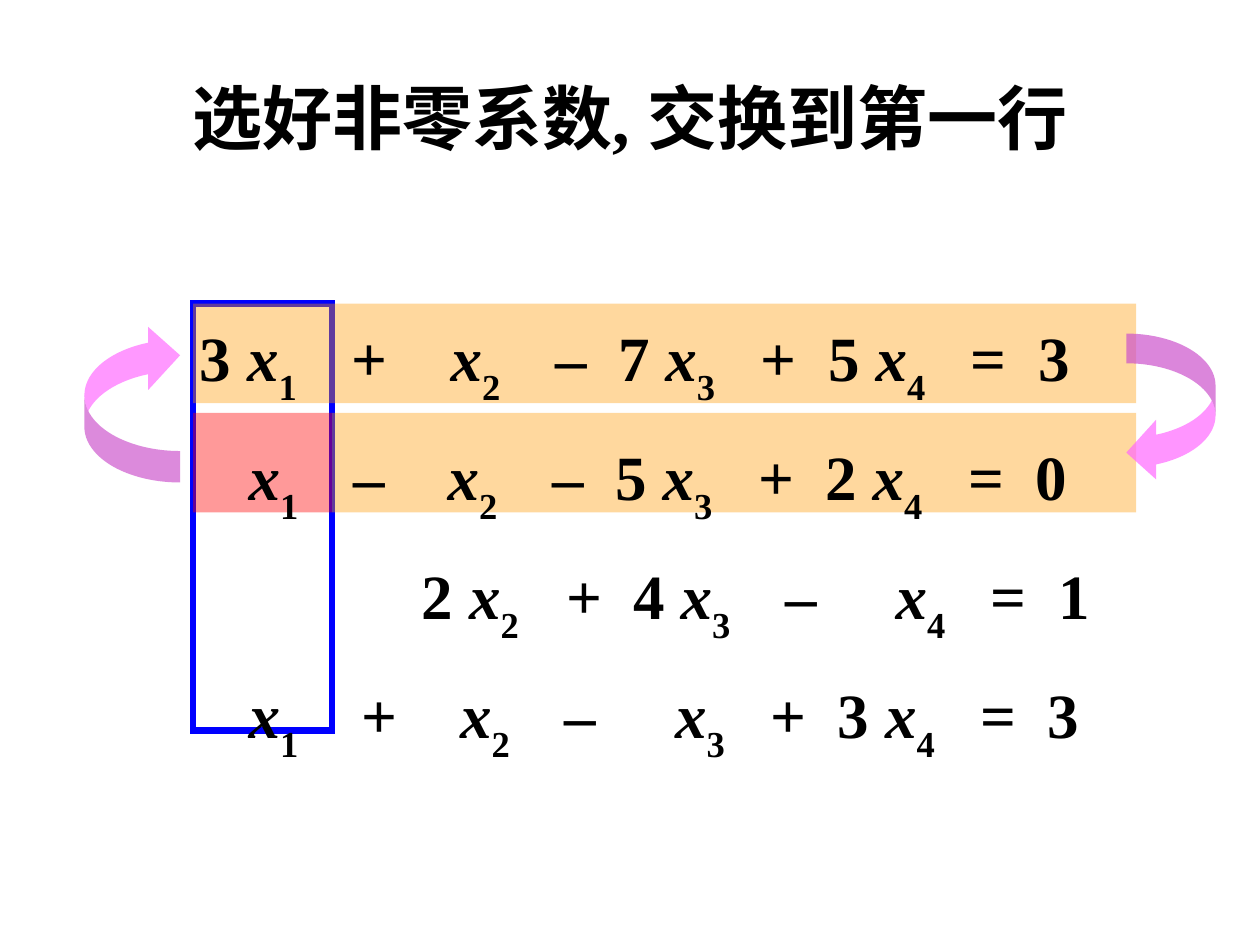
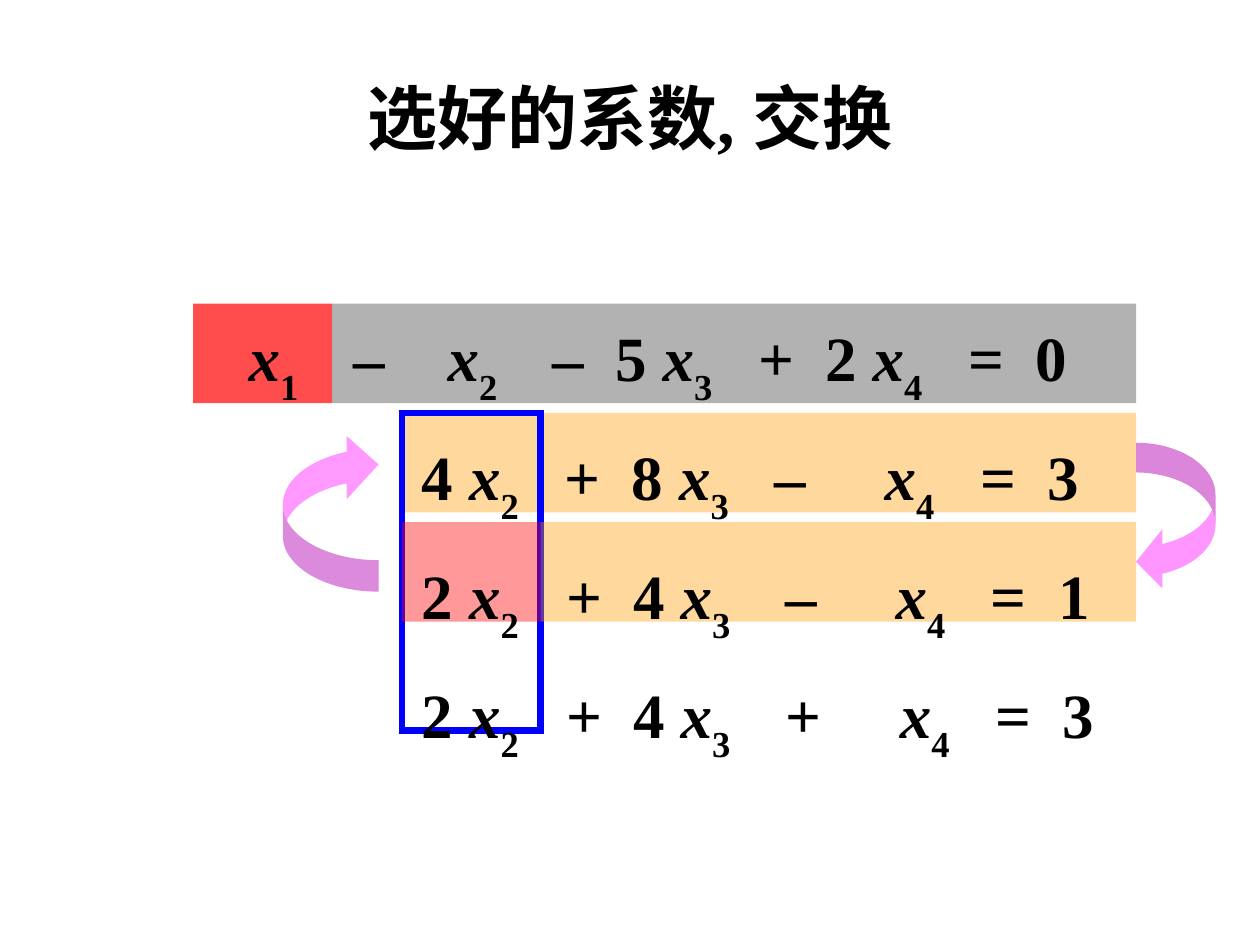
from dataclasses import dataclass

from lxml.etree import SubElement
from pptx import Presentation
from pptx.dml.color import RGBColor
from pptx.enum.shapes import MSO_SHAPE as Shape
from pptx.enum.text import MSO_ANCHOR as Anchor, MSO_AUTO_SIZE as AutoSize, PP_ALIGN as Align
from pptx.oxml.ns import qn
from pptx.util import Pt


@dataclass(frozen=True)
class Theme:
    ink: str = "000000"
    frame: str = "0000FF"
    pivot: str = "FF0000"
    swap: str = "FF9900"
    done: str = "808080"
    arrow: str = "FF66FF"
    font: str = "Times New Roman"
    title_size: int = 40
    equation_size: int = 36
    line_pitch: int = 68
    frame_width: float = 3.75


THEME = Theme()

TITLE_BOX = (36, 21.6, 648, 90)
EQUATION_BOX = (36, 165.2, 648, 314.6)
EQUATION_INSET = 7.2

# The grid behind the equations
ROW_TOP, ROW_PITCH, ROW_HEIGHT = 173.6, 62.4, 56.8
X1_LEFT, X2_LEFT, CELL_WIDTH = 110.4, 229.6, 79.4
GRID_RIGHT = 649.2
LAST_ROW = 3

# Each equation: the tab stop of every term, then the term; x1 stands for x with subscript 1
THREE_X1 = [(71.1, "3 x1"), (157.9, "+"), (214.4, "x2"), (274.2, "–"), (310.2, "7 x3"),
            (391.7, "+"), (430.2, "5 x4"), (511.7, "="), (550.2, "3")]
PIVOT_X1 = [(99, "x1"), (158.8, "–"), (212.8, "x2"), (272.6, "–"), (308.6, "5 x3"),
            (390.1, "+"), (428.6, "2 x4"), (510.1, "="), (548.6, "0")]
PIVOT_X2 = [(198, "2 x2"), (280.4, "+"), (318.9, "4 x3"), (405.7, "–"), (468.7, "x4"),
            (523.2, "="), (561.7, "1")]
LAST_X1 = [(99, "x1"), (163.4, "+"), (219.9, "x2"), (279.7, "–"), (342.7, "x3"),
           (397.2, "+"), (435.7, "3 x4"), (517.2, "="), (555.7, "3")]
FOUR_X2 = [(198, "4 x2"), (279.5, "+"), (318, "8 x3"), (399.5, "–"), (462.5, "x4"),
           (517, "="), (555.5, "3")]
LAST_X2 = [(198, "2 x2"), (280.4, "+"), (318.9, "4 x3"), (405.7, "+"), (471.2, "x4"),
           (525.7, "="), (564.2, "3")]


def row_top(row):
    return ROW_TOP + row * ROW_PITCH


def add_span(para, text, size, italic=False, baseline=None):
    span = para.add_run()
    span.text = text
    font = span.font
    font.name, font.size, font.bold, font.italic = THEME.font, Pt(size), True, italic
    font.color.rgb = RGBColor.from_string(THEME.ink)
    if baseline:
        span._r.get_or_add_rPr().set("baseline", str(baseline * 1000))


def add_shape(page, kind, box, color, opacity):
    shape = page.shapes.add_shape(kind, *map(Pt, box))
    shape.shadow.inherit = False
    shape.line.fill.background()
    shape.fill.solid()
    shape.fill.fore_color.rgb = RGBColor.from_string(color)
    tint = shape.fill._xPr.find(".//" + qn("a:srgbClr"))
    SubElement(tint, qn("a:alpha")).set("val", str(opacity * 1000))
    return shape


def add_band(page, row, left, right, color, opacity):
    box = (left, row_top(row), right - left, ROW_HEIGHT)
    add_shape(page, Shape.RECTANGLE, box, color, opacity)


def add_frame(page, left, first_row):
    """Outline one unknown's column from first_row to the last equation."""
    height = row_top(LAST_ROW) + ROW_HEIGHT - row_top(first_row)
    frame = page.shapes.add_shape(
        Shape.RECTANGLE, *map(Pt, (left, row_top(first_row), CELL_WIDTH, height)))
    frame.shadow.inherit = False
    frame.fill.background()
    frame.line.color.rgb = RGBColor.from_string(THEME.frame)
    frame.line.width = Pt(THEME.frame_width)
    outline = frame.line._get_or_add_ln()
    SubElement(outline, qn("a:miter")).set("lim", "800000")


def add_swap_arrows(page, row, up_left, down_left):
    """Draw the pair of curved arrows that exchange row and the row below it."""
    top = row_top(row)
    up_box = (up_left, top + 11.4, 54.7, 90.7)
    down_box = (down_left, top + 17, 694.6 - down_left, 85)
    for box, thickness, opacity, turn in ((up_box, 18, 67, 180), (down_box, 17, 69, 0)):
        arrow = add_shape(page, Shape.CURVED_LEFT_ARROW, box, THEME.arrow, opacity)
        arrow.rotation = turn
        share = thickness / box[2]
        for index, value in enumerate((share, 2 * share, 0.333)):
            arrow.adjustments[index] = value


def fill_title(page, text):
    title = page.shapes.title
    title.left, title.top, title.width, title.height = map(Pt, TITLE_BOX)
    title.text_frame.vertical_anchor = Anchor.MIDDLE
    para = title.text_frame.paragraphs[0]
    para.alignment = Align.CENTER
    add_span(para, text, THEME.title_size)


def add_term(para, term):
    """Write a term such as "3 x1" with an italic x and a lowered index."""
    size = THEME.equation_size
    factor, unknown, index = term.partition("x")
    if factor:
        add_span(para, factor, size)
    if unknown:
        add_span(para, unknown, size, italic=True)
        add_span(para, index, size, baseline=-30)


def add_equations(page, equations):
    frame = page.shapes.add_textbox(*map(Pt, EQUATION_BOX)).text_frame
    frame.word_wrap, frame.auto_size = True, AutoSize.NONE
    frame.vertical_anchor = Anchor.TOP
    frame.margin_left = frame.margin_right = Pt(EQUATION_INSET)
    frame.margin_top = frame.margin_bottom = Pt(0)
    for number, equation in enumerate(equations):
        para = frame.add_paragraph() if number else frame.paragraphs[0]
        tabs = SubElement(para._p.get_or_add_pPr(), qn("a:tabLst"))
        para.line_spacing = Pt(THEME.line_pitch)
        for stop, term in equation:
            tab = SubElement(tabs, qn("a:tab"))
            tab.set("pos", str(int(Pt(stop))))
            tab.set("algn", "l")
            add_span(para, "\t", THEME.equation_size)
            add_term(para, term)


def add_page(deck, title, equations, draw_marks):
    page = deck.slides.add_slide(deck.slide_layouts.get_by_name("Title Only"))
    fill_title(page, title)
    draw_marks(page)
    add_equations(page, equations)


def mark_first_swap(page):
    x1_right = X1_LEFT + CELL_WIDTH
    add_frame(page, X1_LEFT, 0)
    add_band(page, 1, X1_LEFT, x1_right, THEME.pivot, 40)
    add_band(page, 1, x1_right, GRID_RIGHT, THEME.swap, 38)
    add_band(page, 0, X1_LEFT, GRID_RIGHT, THEME.swap, 38)
    add_swap_arrows(page, 0, 48.2, 643.6)


def mark_second_swap(page):
    x1_right, x2_right = X1_LEFT + CELL_WIDTH, X2_LEFT + CELL_WIDTH
    add_band(page, 0, X1_LEFT, x1_right, THEME.pivot, 70)
    add_band(page, 1, X2_LEFT, GRID_RIGHT, THEME.swap, 38)
    add_band(page, 0, x1_right, GRID_RIGHT, THEME.done, 60)
    add_frame(page, X2_LEFT, 1)
    add_band(page, 2, X2_LEFT, x2_right, THEME.pivot, 40)
    add_band(page, 2, x2_right, GRID_RIGHT, THEME.swap, 38)
    add_swap_arrows(page, 1, 161.6, GRID_RIGHT)


def main():
    deck = Presentation()
    deck.slide_width, deck.slide_height = Pt(720), Pt(540)
    add_page(deck, "选好非零系数, 交换到第一行",
             [THREE_X1, PIVOT_X1, PIVOT_X2, LAST_X1], mark_first_swap)
    add_page(deck, "选好的系数, 交换",
             [PIVOT_X1, FOUR_X2, PIVOT_X2, LAST_X2], mark_second_swap)
    deck.save("out.pptx")


if __name__ == "__main__":
    main()
